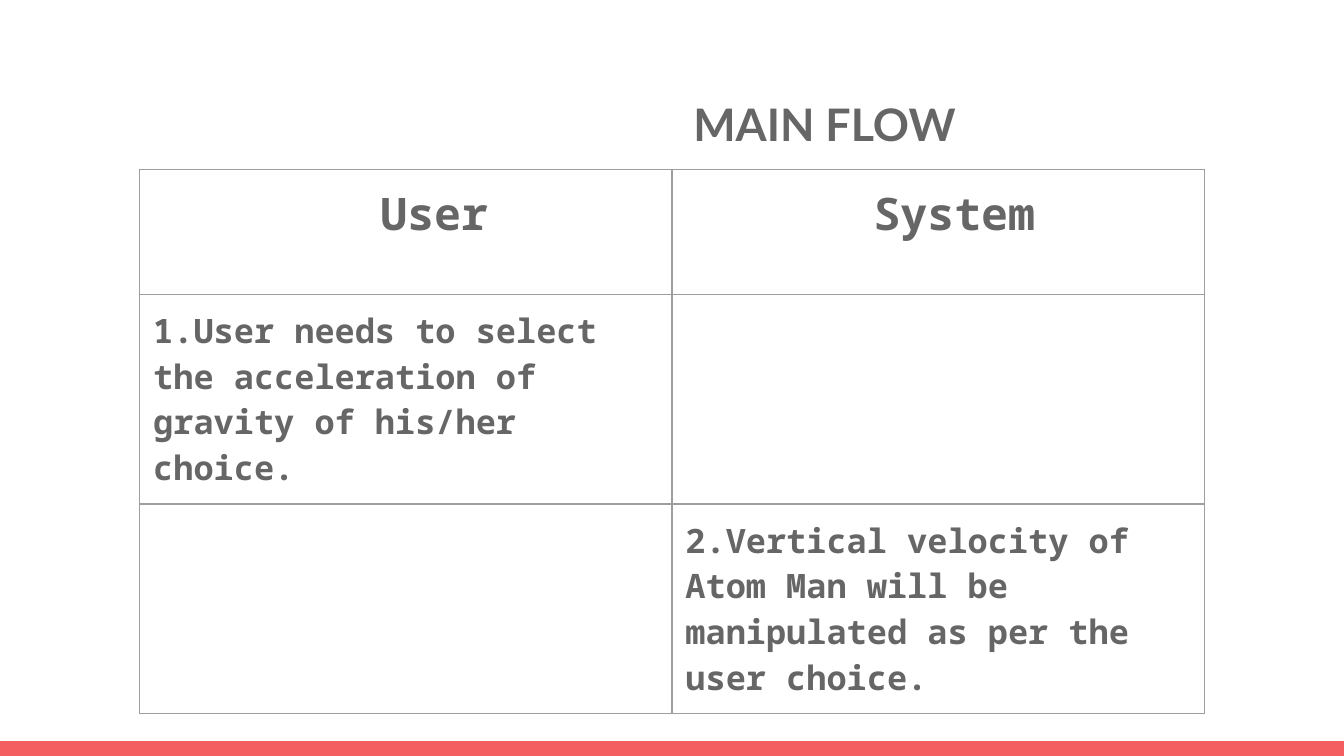
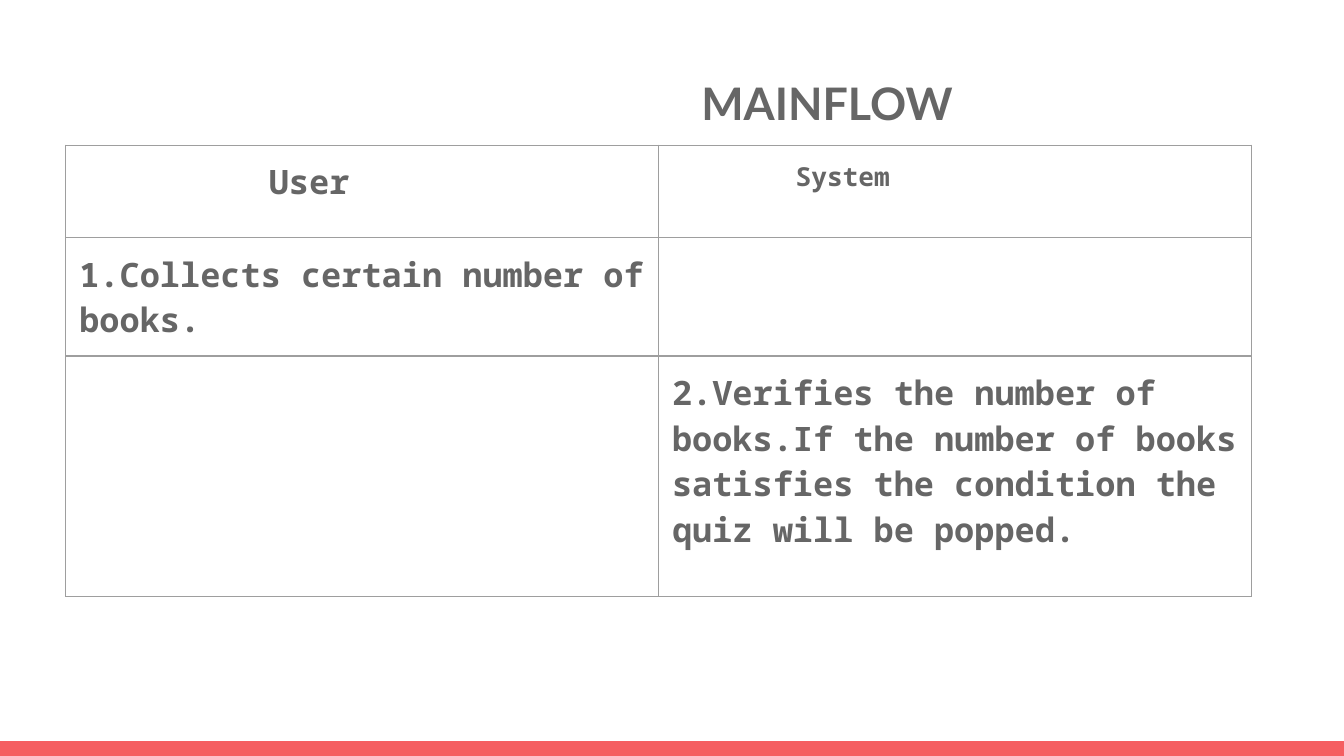
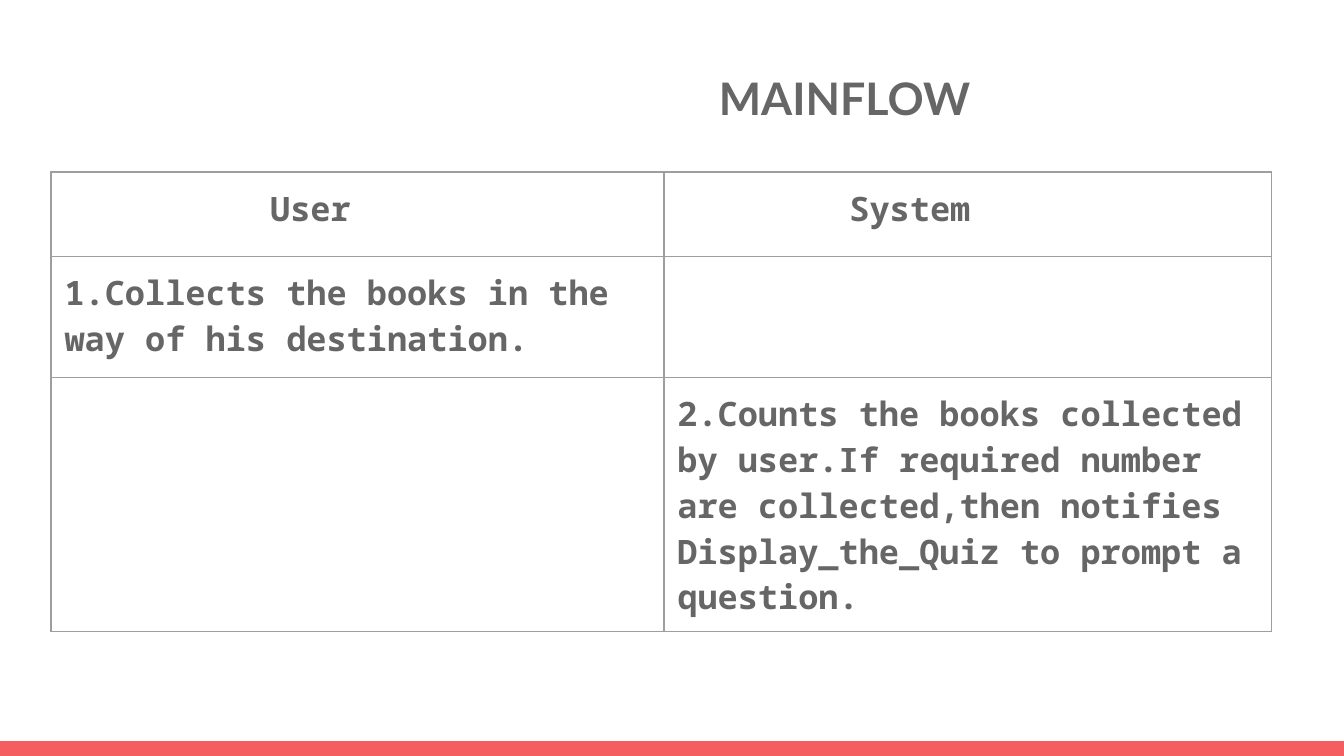
import dataclasses

import pptx
import pptx.dml.color
import pptx.enum.shapes
import pptx.enum.text
import pptx.oxml
import pptx.oxml.ns
import pptx.util

# The slide is a grid of square units: 100 columns by 56.25 rows.
UNIT = pptx.util.Inches(0.1)
COLUMNS, ROWS = 100, 56.25
FOOTER_ROWS = 1.1
PADDING = 1

TEXT_COLOR = "666666"
BORDER_COLOR = "9E9E9E"
ACCENT_COLOR = "F55E61"
PAPER_COLOR = "FFFFFF"
TITLE_FONT = "Lato"
TABLE_FONT = "Noto Sans Mono"
TITLE_SIZE = 24
STEP_SIZE = 18


@dataclasses.dataclass
class Heading:
    text: str
    indent: float
    size: int = STEP_SIZE


@dataclasses.dataclass
class Flow:
    """One slide: boxes are (left, top, width, height) in grid units."""
    title: Heading
    title_box: tuple
    table_corner: tuple
    column_widths: tuple
    row_heights: tuple
    headings: tuple
    user_step: list
    system_step: list


FLOWS = [
    Flow(
        title=Heading("MAIN FLOW", 47.2, TITLE_SIZE),
        title_box=(3.4, 5.6, 93.2, 44.4),
        table_corner=(10.4, 12.6),
        column_widths=(39.6, 39.6),
        row_heights=(9.3, 15.6, 15.6),
        headings=(Heading("User", 16.9, 24), Heading("System", 14, 24)),
        user_step=["1.User needs to select the acceleration of gravity of his/her choice."],
        system_step=["2.Vertical velocity of Atom Man will be manipulated as per the user choice."],
    ),
    Flow(
        title=Heading("MAINFLOW", 47.8, TITLE_SIZE),
        title_box=(3.4, 4, 93.2, 50),
        table_corner=(4.9, 10.8),
        column_widths=(44.1, 44.1),
        row_heights=(6.9, 8.8, 17.9),
        headings=(Heading("User", 14.1), Heading("System", 9.2, 14)),
        user_step=["1.Collects certain number of books."],
        system_step=["2.Verifies the number of books.If the number of books "
                     "satisfies the condition the quiz will be popped."],
    ),
    Flow(
        title=Heading("MAINFLOW", 49.9, TITLE_SIZE),
        title_box=(2.6, 3.7, 93.2, 49.7),
        table_corner=(3.8, 12.8),
        column_widths=(45.6, 45.2),
        row_heights=(6.3, 9, 18.9),
        headings=(Heading("User", 15.3), Heading("System", 12.8)),
        user_step=["1.Collects the books in the way of his destination."],
        system_step=["2.Counts the books collected by user.If required number are "
                     "collected,then notifies Display_the_Quiz to prompt a",
                     "question."],
    ),
]


def color(hex_string):
    return pptx.dml.color.RGBColor.from_string(hex_string)


def grid(*units):
    return [round(unit * UNIT) for unit in units]


def set_margins(holder):
    holder.margin_left = holder.margin_right = round(PADDING * UNIT)
    holder.margin_top = holder.margin_bottom = round(PADDING * UNIT)


def add_run(paragraph, text, size, font_name, indent=0):
    if indent:
        paragraph._p.get_or_add_pPr().set("marL", str(round(indent * UNIT)))
    run = paragraph.add_run()
    run.text = text
    run.font.size = pptx.util.Pt(size)
    run.font.name = font_name
    run.font.bold = True
    run.font.color.rgb = color(TEXT_COLOR)


def add_footer_band(slide):
    band = slide.shapes.add_shape(
        pptx.enum.shapes.MSO_SHAPE.RECTANGLE,
        *grid(0, ROWS - FOOTER_ROWS, COLUMNS, FOOTER_ROWS))
    band.shadow.inherit = False
    band.fill.solid()
    band.fill.fore_color.rgb = color(ACCENT_COLOR)
    band.line.fill.background()


def add_title(slide, title, box):
    text_frame = slide.shapes.add_textbox(*grid(*box)).text_frame
    text_frame.word_wrap = True
    text_frame.vertical_anchor = pptx.enum.text.MSO_ANCHOR.TOP
    set_margins(text_frame)
    paragraph = text_frame.paragraphs[0]
    paragraph.line_spacing = 1.15
    add_run(paragraph, title.text, title.size, TITLE_FONT, title.indent)


def style_cell(cell):
    set_margins(cell)
    cell.fill.background()
    properties = cell._tc.get_or_add_tcPr()
    for position, side in enumerate(("lnL", "lnR", "lnT", "lnB")):
        border = pptx.oxml.parse_xml(
            f'<a:{side} {pptx.oxml.ns.nsdecls("a")} w="{pptx.util.Pt(0.75)}">'
            f'<a:solidFill><a:srgbClr val="{BORDER_COLOR}"/></a:solidFill></a:{side}>')
        properties.insert(position, border)


def fill_step(cell, lines):
    text_frame = cell.text_frame
    for number, line in enumerate(lines):
        paragraph = text_frame.add_paragraph() if number else text_frame.paragraphs[0]
        add_run(paragraph, line, STEP_SIZE, TABLE_FONT)


def add_flow_table(slide, flow):
    box = (*flow.table_corner, sum(flow.column_widths), sum(flow.row_heights))
    table = slide.shapes.add_table(
        len(flow.row_heights), len(flow.column_widths), *grid(*box)).table
    table.first_row = table.horz_banding = False
    for column, width in zip(table.columns, grid(*flow.column_widths)):
        column.width = width
    for row, height in zip(table.rows, grid(*flow.row_heights)):
        row.height = height
    for cell in table.iter_cells():
        style_cell(cell)
    for index, heading in enumerate(flow.headings):
        paragraph = table.cell(0, index).text_frame.paragraphs[0]
        add_run(paragraph, heading.text, heading.size, TABLE_FONT, heading.indent)
    fill_step(table.cell(1, 0), flow.user_step)
    fill_step(table.cell(2, 1), flow.system_step)


def add_flow_slide(presentation, flow):
    slide = presentation.slides.add_slide(presentation.slide_layouts[6])
    slide.background.fill.solid()
    slide.background.fill.fore_color.rgb = color(PAPER_COLOR)
    add_footer_band(slide)
    add_title(slide, flow.title, flow.title_box)
    add_flow_table(slide, flow)


def main():
    presentation = pptx.Presentation()
    presentation.slide_width, presentation.slide_height = grid(COLUMNS, ROWS)
    for flow in FLOWS:
        add_flow_slide(presentation, flow)
    presentation.save("out.pptx")


if __name__ == "__main__":
    main()
